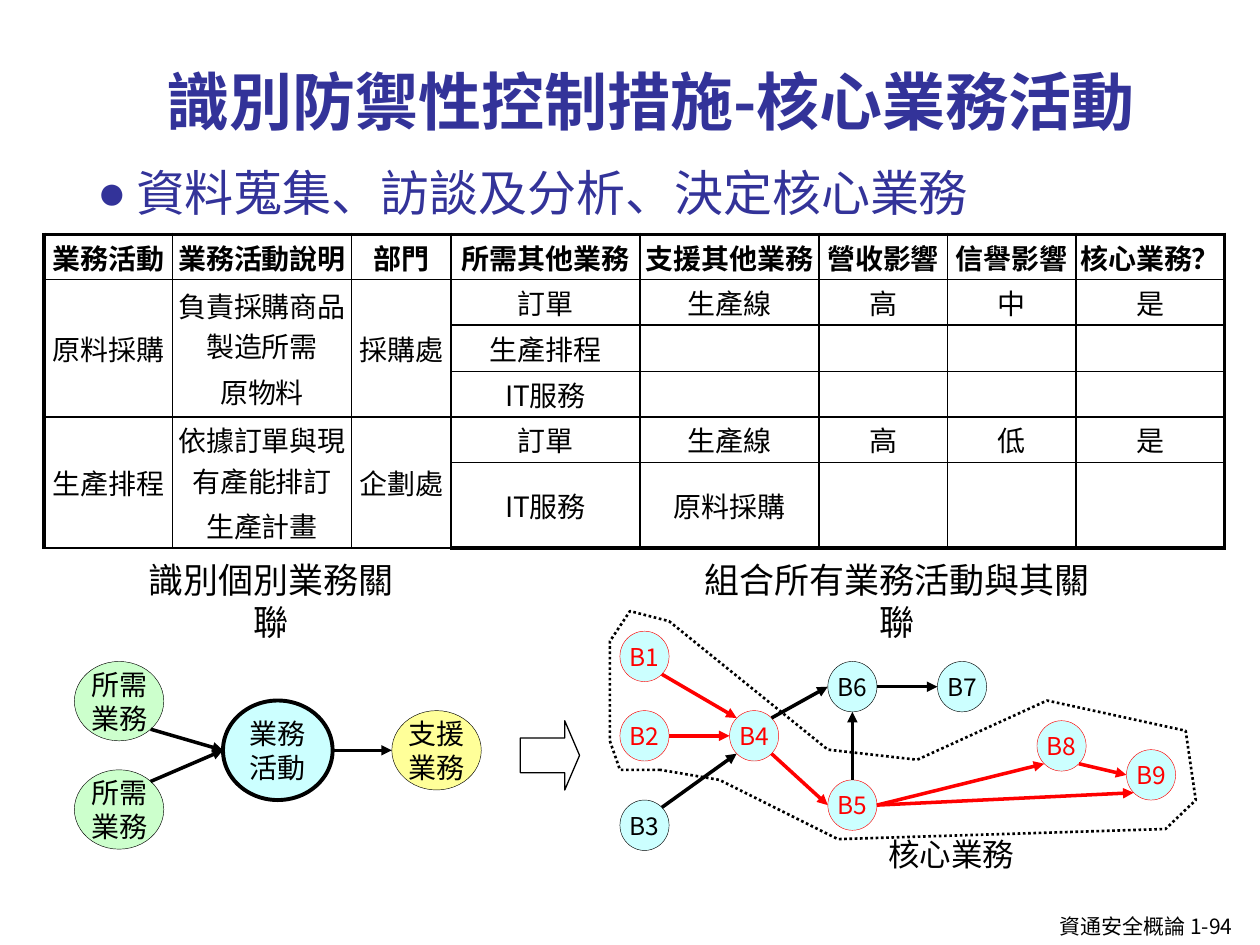
from math import cos, radians, sin

from lxml.etree import SubElement
from pptx import Presentation
from pptx.dml.color import RGBColor
from pptx.enum.dml import MSO_LINE
from pptx.enum.shapes import MSO_CONNECTOR, MSO_SHAPE
from pptx.enum.text import MSO_ANCHOR, MSO_AUTO_SIZE, PP_ALIGN
from pptx.oxml.ns import qn
from pptx.util import Inches, Pt

SANS = "Noto Sans CJK SC"
TITLE_FONT = "Noto Sans CJK TC"
COLORS = {"black": "000000", "white": "FFFFFF", "navy": "333399", "red": "FF0000",
          "cyan": "CCFFFF", "green": "CCFFCC", "yellow": "FFFF99"}

HEADER = ["業務活動", "業務活動說明", "部門", "所需其他業務", "支援其他業務",
          "營收影響", "信譽影響", "核心業務？"]
ROWS = [
    HEADER,
    ["原料採購", "負責採購商品製造所需\n原物料", "採購處", "訂單", "生產線", "高", "中", "是"],
    ["", "", "", "生產排程", "", "", "", ""],
    ["", "", "", "IT服務", "", "", "", ""],
    ["生產排程", "依據訂單與現有產能排訂\n生產計畫", "企劃處", "訂單", "生產線", "高", "低", "是"],
    ["", "", "", "IT服務", "原料採購", "", "", ""],
]
COLUMN_WIDTHS = [1.02, 1.42, 0.79, 1.5, 1.42, 1.02, 1.02, 1.18]
ROW_HEIGHTS = [0.33, 0.33, 0.37, 0.33, 0.33, 0.58]
MERGED_ROWS = [(1, 3), (4, 5)]

# Angles of the connection sites of an ellipse, clockwise from the right
SITES = {"right": 0, "bottom right": 45, "bottom": 90, "bottom left": 135,
         "left": 180, "top left": 225, "top": 270, "top right": 315}

NETWORK_NODES = {"B1": (0.08, 0.63), "B2": (0.08, 1.26), "B3": (0.08, 1.97),
                 "B4": (0.95, 1.26), "B5": (1.73, 1.81), "B6": (1.73, 0.87),
                 "B7": (2.6, 0.87), "B8": (3.39, 1.34), "B9": (4.1, 1.57)}
CORE_NODES = {"B1", "B2", "B4", "B5", "B8", "B9"}
NETWORK_EDGES = [
    ("B1", "bottom right", "B4", "top left"), ("B2", "right", "B4", "left"),
    ("B4", "bottom right", "B5", "left"), ("B3", "top right", "B4", "bottom left"),
    ("B4", "top right", "B6", "left"), ("B6", "right", "B7", "left"),
    ("B5", "top", "B6", "bottom"), ("B5", "right", "B8", "bottom left"),
    ("B8", "bottom right", "B9", "left"), ("B5", "right", "B9", "bottom left"),
]
CORE_OUTLINE = [(0.4, 1.73), (0.08, 1.73), (0, 1.5), (0, 0.71), (0.16, 0.47),
                (0.47, 0.55), (1.73, 1.57), (2.44, 1.65), (3.47, 1.18), (4.57, 1.42),
                (4.65, 1.97), (4.41, 2.2), (1.81, 2.28), (0.87, 1.81)]


def rgb(color):
    return RGBColor.from_string(COLORS[color])


def set_values(target, values):
    for name, value in values.items():
        setattr(target, name, value)


def write(paragraph, text, size, color="black", font=SANS, bold=False):
    run = paragraph.add_run()
    run.text = text
    set_values(run.font, {"name": font, "size": Pt(size), "bold": bold})
    run.font.color.rgb = rgb(color)
    latin = run.font._element.find(qn("a:latin"))
    latin.addnext(latin.makeelement(qn("a:ea"), {"typeface": font}))


def set_line(line, color, width):
    line.color.rgb = rgb(color)
    line.width = Pt(width)


def add_label(slide, left, top, width, height, text, size, align=PP_ALIGN.CENTER, wrap=False):
    box = slide.shapes.add_textbox(Inches(left), Inches(top), Inches(width), Inches(height))
    set_values(box.text_frame, {"word_wrap": wrap, "auto_size": MSO_AUTO_SIZE.SHAPE_TO_FIT_TEXT})
    paragraph = box.text_frame.paragraphs[0]
    paragraph.alignment = align
    write(paragraph, text, size)


def add_node(slide, left, top, width, height, text, size, fill, color="black", weight=0.25, inset=0.02):
    node = slide.shapes.add_shape(MSO_SHAPE.OVAL, Inches(left), Inches(top),
                                  Inches(width), Inches(height))
    node.shadow.inherit = False
    node.fill.solid()
    node.fill.fore_color.rgb = rgb(fill)
    set_line(node.line, color, weight)
    set_values(node.text_frame, {
        "word_wrap": True, "vertical_anchor": MSO_ANCHOR.MIDDLE,
        "margin_left": Inches(inset), "margin_right": Inches(inset),
        "margin_top": 0, "margin_bottom": 0})
    paragraph = node.text_frame.paragraphs[0]
    paragraph.alignment = PP_ALIGN.CENTER
    write(paragraph, text, size, color)
    return node


def site_point(node, site):
    angle = radians(SITES[site])
    return (round(node.left + node.width / 2 * (1 + cos(angle))),
            round(node.top + node.height / 2 * (1 + sin(angle))))


def add_arrow(slide, start, start_site, end, end_site, color="black"):
    arrow = slide.shapes.add_connector(MSO_CONNECTOR.STRAIGHT, *site_point(start, start_site),
                                       *site_point(end, end_site))
    set_line(arrow.line, color, 2)
    SubElement(arrow.line._get_or_add_ln(), qn("a:tailEnd"), type="triangle")
    SubElement(arrow._element.spPr, qn("a:effectLst"))


def fill_placeholder(shape, left, top, width, height, anchor):
    set_values(shape, {"left": Inches(left), "top": Inches(top),
                       "width": Inches(width), "height": Inches(height)})
    set_values(shape.text_frame, {"auto_size": MSO_AUTO_SIZE.NONE, "word_wrap": True,
                                  "vertical_anchor": anchor})
    return shape.text_frame.paragraphs[0]


def add_heading(slide):
    title = fill_placeholder(slide.shapes.title, 1.22, 0.13, 9.61, 1.02, MSO_ANCHOR.BOTTOM)
    title.alignment = PP_ALIGN.LEFT
    write(title, "識別防禦性控制措施-核心業務活動", 36, "navy", TITLE_FONT, True)

    item = fill_placeholder(slide.placeholders[1], 0.67, 1.15, 8.83, 0.71, MSO_ANCHOR.TOP)
    properties = item._p.get_or_add_pPr()
    properties.set("marL", str(Inches(0.31)))
    properties.set("indent", str(-Inches(0.31)))
    SubElement(properties, qn("a:buChar"), char="●")
    set_values(item, {"alignment": PP_ALIGN.JUSTIFY, "line_spacing": 1.2,
                      "space_before": Pt(0), "space_after": Pt(2)})
    write(item, "資料蒐集、訪談及分析、決定核心業務", 28, "navy")


def set_borders(cell, widths):
    properties = cell._tc.get_or_add_tcPr()
    for position, (side, width) in enumerate(widths.items()):
        border = properties.makeelement(qn(f"a:{side}"), {"w": str(Pt(width))})
        fill = SubElement(border, qn("a:solidFill"))
        SubElement(fill, qn("a:srgbClr"), val=COLORS["black"])
        properties.insert(position, border)


def fill_cell(cell, text, bold):
    inset = Inches(0.02)
    set_values(cell, {"vertical_anchor": MSO_ANCHOR.MIDDLE, "margin_left": inset,
                      "margin_right": inset, "margin_top": inset, "margin_bottom": inset})
    cell.fill.background()
    for index, line in enumerate(text.split("\n")):
        paragraph = cell.text_frame.add_paragraph() if index else cell.text_frame.paragraphs[0]
        set_values(paragraph, {"alignment": PP_ALIGN.CENTER, "space_before": Pt(3 if index else 0)})
        if line:
            write(paragraph, line, 16, bold=bold)
        else:
            SubElement(paragraph._p, qn("a:endParaRPr"), sz="1600")


def add_activity_table(slide, left, top):
    last_row, last_column = len(ROWS) - 1, len(HEADER) - 1
    frame = slide.shapes.add_table(len(ROWS), len(HEADER), Inches(left), Inches(top),
                                   Inches(sum(COLUMN_WIDTHS)), Inches(sum(ROW_HEIGHTS)))
    table = frame.table
    set_values(table, {"first_row": False, "horz_banding": False})
    for column, width in zip(table.columns, COLUMN_WIDTHS):
        column.width = Inches(width)
    for row, height in zip(table.rows, ROW_HEIGHTS):
        row.height = Inches(height)
    for row, texts in enumerate(ROWS):
        for column, text in enumerate(texts):
            cell = table.cell(row, column)
            fill_cell(cell, text, bold=row == 0)
            outer = {"lnL": column == 0, "lnR": column == last_column,
                     "lnT": row == 0, "lnB": row == last_row}
            set_borders(cell, {side: 2.25 if edge else 1 for side, edge in outer.items()})
    for first, last in MERGED_ROWS:
        for column in range(3):
            table.cell(first, column).merge(table.cell(last, column))


def add_single_relation(slide, left, top):
    activity = add_node(slide, left + 1.18, top + 1.18, 0.87, 0.79, "業務活動", 16, "cyan", weight=2.25)
    support = add_node(slide, left + 2.52, top + 1.26, 0.71, 0.63, "支援業務", 16, "yellow")
    for offset, site in [(0.87, "bottom right"), (1.73, "top right")]:
        needed = add_node(slide, left, top + offset, 0.71, 0.63, "所需業務", 16, "green")
        add_arrow(slide, needed, site, activity, "left")
    add_arrow(slide, activity, "right", support, "left")
    add_label(slide, left + 0.35, top, 2.42, 0.43, "識別個別業務關聯", 20)


def add_block_arrow(slide, left, top, width, height):
    arrow = slide.shapes.add_shape(MSO_SHAPE.RIGHT_ARROW, Inches(left), Inches(top),
                                   Inches(width), Inches(height))
    arrow.shadow.inherit = False
    arrow.adjustments[1] = 0.25
    arrow.fill.solid()
    arrow.fill.fore_color.rgb = rgb("white")
    set_line(arrow.line, "black", 0.75)


def add_core_outline(slide, left, top):
    points = [(Inches(left + x), Inches(top + y)) for x, y in CORE_OUTLINE]
    builder = slide.shapes.build_freeform(*points[0])
    builder.add_line_segments(points[1:], close=True)
    outline = builder.convert_to_shape()
    outline.shadow.inherit = False
    outline.fill.background()
    set_line(outline.line, "black", 1.5)
    outline.line.dash_style = MSO_LINE.ROUND_DOT


def add_network(slide, left, top):
    nodes = {name: add_node(slide, left + x, top + y, 0.39, 0.4, name, 14, "cyan",
                            "red" if name in CORE_NODES else "black", inset=0)
             for name, (x, y) in NETWORK_NODES.items()}
    for start, start_site, end, end_site in NETWORK_EDGES:
        color = "red" if {start, end} <= CORE_NODES else "black"
        add_arrow(slide, nodes[start], start_site, nodes[end], end_site, color)
    add_core_outline(slide, left, top)
    add_label(slide, left + 2.11, top + 2.2, 1.2, 0.4, "核心業務", 18)
    add_label(slide, left + 0.53, top, 3.5, 0.43, "組合所有業務活動與其關聯", 20, wrap=True)


def main():
    presentation = Presentation()
    set_values(presentation, {"slide_width": Inches(10), "slide_height": Inches(7.5)})
    slide = presentation.slides.add_slide(presentation.slide_layouts[1])
    add_heading(slide)
    add_activity_table(slide, 0.35, 1.86)
    add_single_relation(slide, 0.59, 4.38)
    add_block_arrow(slide, 4.13, 5.72, 0.47, 0.55)
    add_network(slide, 4.84, 4.38)
    add_label(slide, 8.31, 7.2, 1.69, 0.3, "資通安全概論 1-94", 12, PP_ALIGN.LEFT)
    presentation.save("out.pptx")


if __name__ == "__main__":
    main()
